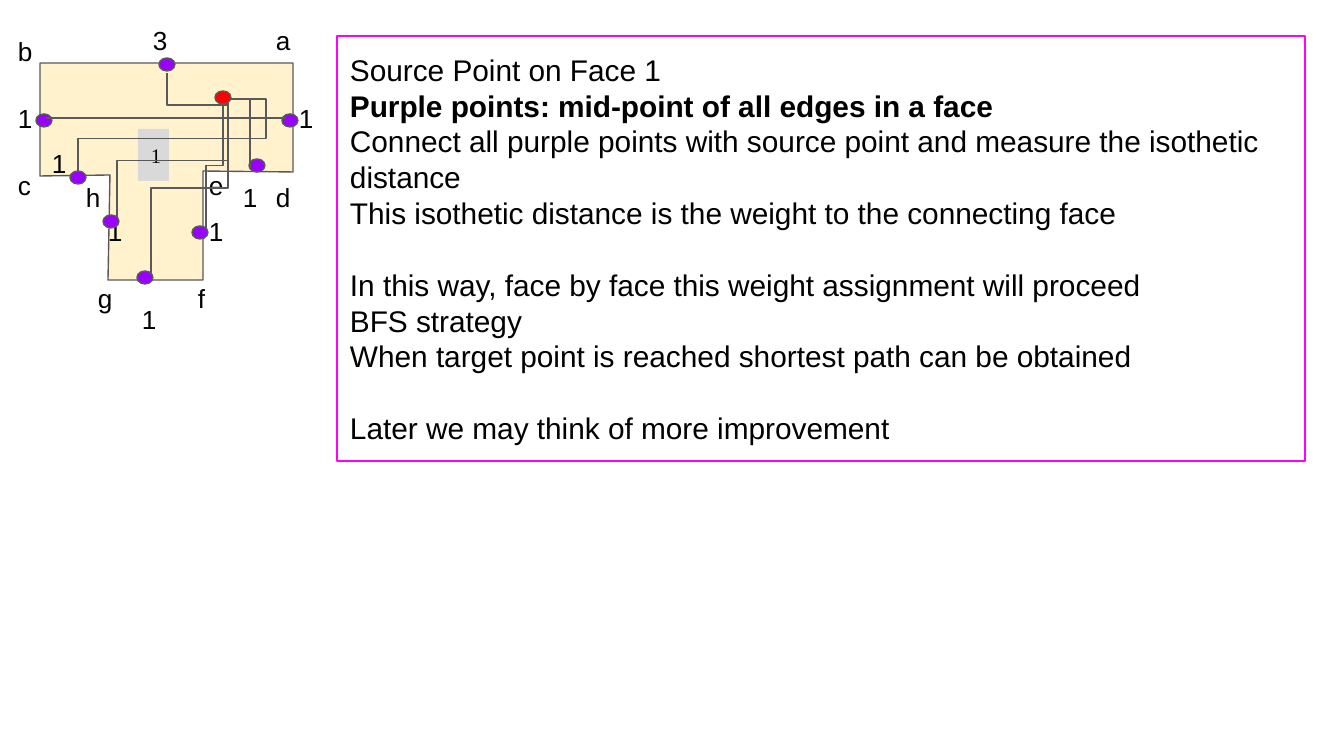
"""Builds a slide on isothetic distances between a source point and edge mid-points."""
from lxml import etree
from pptx import Presentation
from pptx.dml.color import RGBColor
from pptx.enum.shapes import MSO_CONNECTOR, MSO_SHAPE
from pptx.enum.text import MSO_ANCHOR, PP_ALIGN
from pptx.oxml.ns import qn
from pptx.util import Pt

ELBOW = MSO_CONNECTOR.ELBOW
RECT, OVAL = MSO_SHAPE.RECTANGLE, MSO_SHAPE.OVAL
MIDDLE, TOP = MSO_ANCHOR.MIDDLE, MSO_ANCHOR.TOP
LEFT = PP_ALIGN.LEFT
PX = 914400 / 134.4
GRAY, CREAM, TILE = "595959", "FFF2CC", "D9D9D9"
RED, PURPLE, MAGENTA, BLACK = "FF0000", "9900FF", "FF00FF", "000000"

OUTLINE = [(40, 63), (293, 63), (293, 172), (203, 171),
           (203, 280), (108, 280), (110, 175), (40, 176)]
LABELS = [
    ("a", 263, 11), ("b", 5, 22), ("c", 5, 156), ("d", 263, 168),
    ("e", 196, 156), ("f", 185, 269), ("g", 85, 269), ("h", 73, 168),
    ("3", 140, 11), ("1", 286, 89), ("1", 230, 168), ("1", 196, 202),
    ("1", 129, 290), ("1", 95, 202), ("1", 39, 134), ("1", 5, 89),
]
SOURCE = (215, 91)
MIDPOINTS = [(282, 114), (249, 159), (192, 226), (103, 215),
             (137, 271), (70, 171), (36, 114), (159, 58)]
VERTICAL_PATHS = [
    ((228, 103), (167, 73), [-0.06]),
    ((223, 106), (286, 118), []),
    ((250, 168), (231, 99), []),
    ((223, 106), (206, 228), [0.49]),
    ((228, 103), (151, 273), [0.5]),
    ((228, 103), (117, 218), [0.5]),
    ((228, 103), (46, 118), []),
]
NOTES = [
    "Source Point on Face 1",
    "Purple points: mid-point of all edges in a face",
    "Connect all purple points with source point and measure the isothetic distance",
    "This isothetic distance is the weight to the connecting face",
    "",
    "In this way, face by face this weight assignment will proceed",
    "BFS strategy",
    "When target point is reached shortest path can be obtained",
    "",
    "Later we may think of more improvement",
]


def emu(px):
    return round(px * PX)


def rgb(value):
    return RGBColor.from_string(value)


def write(tf, lines, size=14, font="Arial", color=BLACK, bold=(), anchor=TOP):
    tf.word_wrap = True
    tf.vertical_anchor = anchor
    tf.margin_left = tf.margin_right = tf.margin_top = tf.margin_bottom = emu(13)
    for i, line in enumerate(lines):
        p = tf.paragraphs[0] if i == 0 else tf.add_paragraph()
        p.alignment = LEFT
        p.font.size = Pt(size)
        if line:
            r = p.add_run()
            r.text = line
            r.font.size, r.font.name = Pt(size), font
            r.font.bold = i in bold
            r.font.color.rgb = rgb(color)


class Board:
    def __init__(self, slide, line_width=0.75):
        self.shapes = slide.shapes
        self.line_width = Pt(line_width)

    def style(self, s, fill=None, line=None):
        s.shadow.inherit = False
        if fill:
            s.fill.solid()
            s.fill.fore_color.rgb = rgb(fill)
        else:
            s.fill.background()
        if line:
            s.line.color.rgb = rgb(line)
            s.line.width = self.line_width
        else:
            s.line.fill.background()
        return s

    def shape(self, kind, x, y, w, h, fill=None, line=None):
        s = self.shapes.add_shape(kind, emu(x), emu(y), emu(w), emu(h))
        return self.style(s, fill, line)

    def polygon(self, points, fill, line):
        fb = self.shapes.build_freeform(*points[0], scale=PX)
        fb.add_line_segments(points[1:], close=True)
        return self.style(fb.convert_to_shape(), fill, line)

    def label(self, text, x, y):
        s = self.shapes.add_textbox(emu(x), emu(y), emu(40), emu(59))
        write(s.text_frame, [text])

    def dot(self, x, y, fill):
        self.shape(OVAL, x, y, 16, 13, fill, GRAY)

    def elbow(self, start, end, adjust, bends, vertical):
        (x1, y1), (x2, y2) = start, end
        if vertical:
            cx, cy = (x1 + x2) / 2, (y1 + y2) / 2
            dx, dy = (x2 - x1) / 2, (y2 - y1) / 2
            x1, y1, x2, y2 = cx - dy, cy + dx, cx + dy, cy - dx
        s = self.shapes.add_connector(ELBOW, emu(x1), emu(y1), emu(x2), emu(y2))
        s.line.color.rgb = rgb(GRAY)
        s.line.width = self.line_width
        sp = s._element.spPr
        if vertical:
            sp.find(qn("a:xfrm")).set("rot", "5400000")
        geom = sp.find(qn("a:prstGeom"))
        geom.set("prst", f"bentConnector{bends + 1}")
        guides = geom.find(qn("a:avLst"))
        for i, value in enumerate(adjust, 1):
            etree.SubElement(guides, qn("a:gd"), name=f"adj{i}",
                             fmla=f"val {round(value * 100000)}")
        etree.SubElement(sp, qn("a:effectLst"))


def main():
    prs = Presentation()
    prs.slide_width, prs.slide_height = emu(1344), emu(756)
    board = Board(prs.slides.add_slide(prs.slide_layouts[6]))

    board.polygon(OUTLINE, CREAM, GRAY)
    tile = board.shape(RECT, 138, 129, 31, 52, TILE)
    write(tile.text_frame, ["1"], size=11, font="Times New Roman", anchor=MIDDLE)
    for text, x, y in LABELS:
        board.label(text, x, y)
    board.dot(*SOURCE, RED)
    for x, y in MIDPOINTS:
        board.dot(x, y, PURPLE)
    for start, end, adjust in VERTICAL_PATHS:
        board.elbow(start, end, adjust, bends=len(adjust) + 1, vertical=True)
    board.elbow((231, 99), (78, 171), [-0.23, 0.55], bends=3, vertical=False)

    box = board.shape(RECT, 337, 36, 968, 425, line=MAGENTA)
    write(box.text_frame, NOTES, size=16, bold=[1], anchor=MIDDLE)
    prs.save("out.pptx")


if __name__ == "__main__":
    main()
